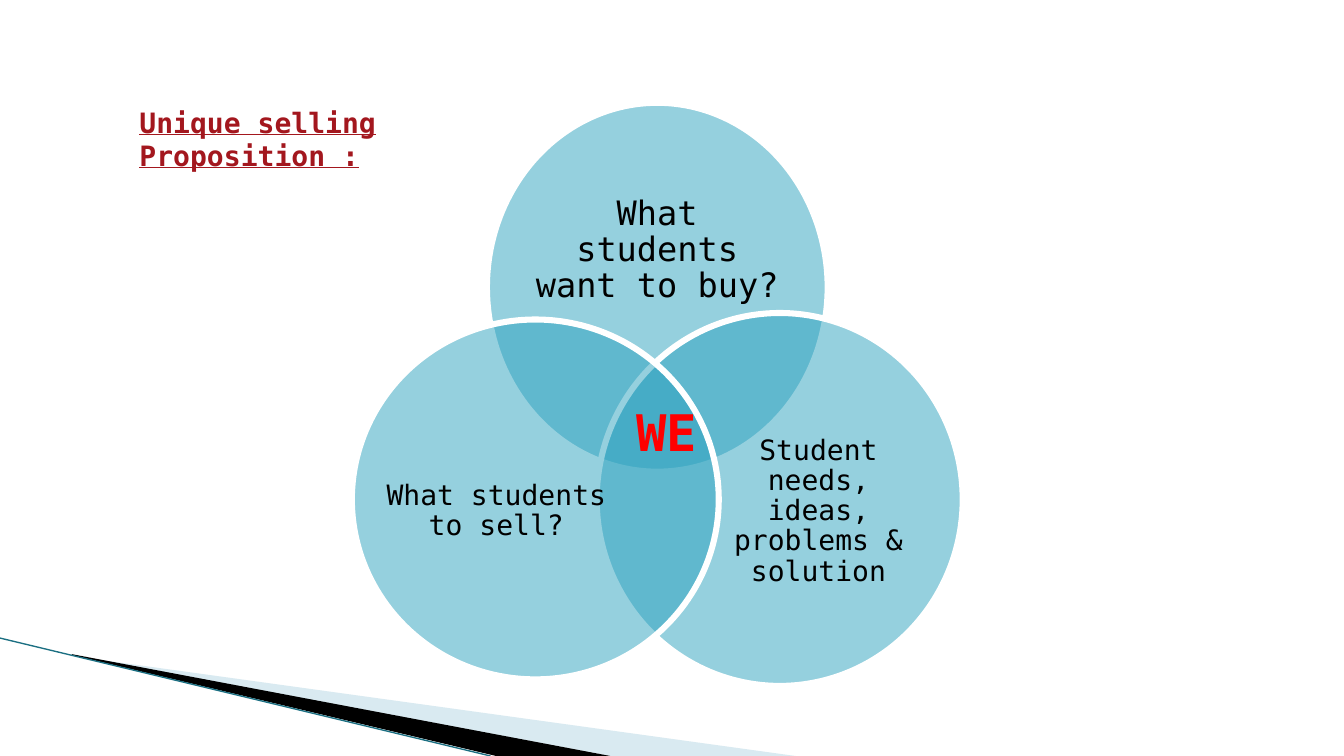
from lxml import etree
from pptx import Presentation
from pptx.dml.color import RGBColor
from pptx.enum.shapes import MSO_CONNECTOR, MSO_SHAPE
from pptx.enum.text import MSO_ANCHOR, MSO_AUTO_SIZE, PP_ALIGN
from pptx.oxml.ns import qn
from pptx.util import Inches, Pt

FONT = "DejaVu Sans Mono"
COLORS = {
    "circle": "2DA2BF", "rim": "FFFFFF", "label": "000000",
    "title": "A3171E", "center": "FF0000", "outline": "464646",
    "pale": "A0CBDC", "dark": "000000", "edge": "1B6F82",
}
TITLE = ("Unique selling Proposition :", (9.64, 13.25, 28.5, 5.87))
CENTER = ("WE", (44.28, 52.4, 10.65, 9.47))
CIRCLES = [
    ("What students want to buy?", 24, (36.23, 13.6, 25.35, 48.8), (39.6, 22.13, 18.6, 22)),
    ("Student needs, ideas, problems & solution", 20,
     (44.4, 41.4, 27.23, 49.33), (53.1, 54.13, 15.6, 27.07)),
    ("What students to sell?", 20, (26.18, 42.27, 27.3, 47.6), (28.73, 54.6, 16.4, 26.13)),
]
WEDGES = [
    ("pale", 40, [(5.48, 86.8), (59.2, 100), (45.4, 100), (5.48, 86.67)]),
    ("dark", 100, [(5.33, 86.53), (45.4, 100), (36.9, 100), (5.4, 86.67)]),
]
EDGE = [(0, 84.4), (36.5, 100)]

deck = Presentation()
deck.slide_width, deck.slide_height = Inches(13.33), Inches(7.5)
page = deck.slides.add_slide(deck.slide_layouts[6])


def place(*shares):
    sides = (deck.slide_width, deck.slide_height) * 2
    return [round(share * side / 100) for share, side in zip(shares, sides)]


def color(name):
    return RGBColor.from_string(COLORS[name])


def paint(shape, name, opacity):
    shape.shadow.inherit = False
    shape.fill.solid()
    shape.fill.fore_color.rgb = color(name)
    tint = shape._element.spPr.find(qn("a:solidFill"))[0]
    etree.SubElement(tint, qn("a:alpha"), val=str(opacity * 1000))


def write(text, area, size, name, bold=False, align=PP_ALIGN.CENTER):
    box = page.shapes.add_textbox(*place(*area))
    frame = box.text_frame
    frame.word_wrap = True
    para = frame.paragraphs[0]
    para.alignment = align
    span = para.add_run()
    span.text = text
    span.font.name, span.font.size, span.font.bold = FONT, Pt(size), bold
    span.font.color.rgb = color(name)
    return frame, para, span


for name, opacity, points in WEDGES:
    start, *rest = [place(*point) for point in points]
    builder = page.shapes.build_freeform(*start)
    builder.add_line_segments(rest, close=True)
    wedge = builder.convert_to_shape()
    paint(wedge, name, opacity)
    wedge.line.fill.background()

edge = page.shapes.add_connector(MSO_CONNECTOR.STRAIGHT, *place(*EDGE[0]), *place(*EDGE[1]))
edge.line.color.rgb = color("edge")
edge.line.width = Pt(0.95)
etree.SubElement(edge._element.spPr, qn("a:effectLst"))

frame, para, span = write(*TITLE, 20, "title", True, PP_ALIGN.LEFT)
span.font.underline = True

for text, size, area, label_area in CIRCLES:
    circle = page.shapes.add_shape(MSO_SHAPE.OVAL, *place(*area))
    paint(circle, "circle", 50)
    circle.line.color.rgb = color("rim")
    circle.line.width = Pt(4.33)
    frame, para, span = write(text, label_area, size, "label")
    frame.margin_left = frame.margin_right = frame.margin_top = frame.margin_bottom = 0
    frame.vertical_anchor = MSO_ANCHOR.MIDDLE
    para.line_spacing = 0.9

frame, para, span = write(*CENTER, 36, "center", True)
frame.auto_size = MSO_AUTO_SIZE.SHAPE_TO_FIT_TEXT
outline = etree.Element(qn("a:ln"), w=str(Pt(1)))
ink = etree.SubElement(outline, qn("a:solidFill"))
etree.SubElement(ink, qn("a:srgbClr"), val=COLORS["outline"])
span._r.get_or_add_rPr().insert(0, outline)

deck.save("out.pptx")
